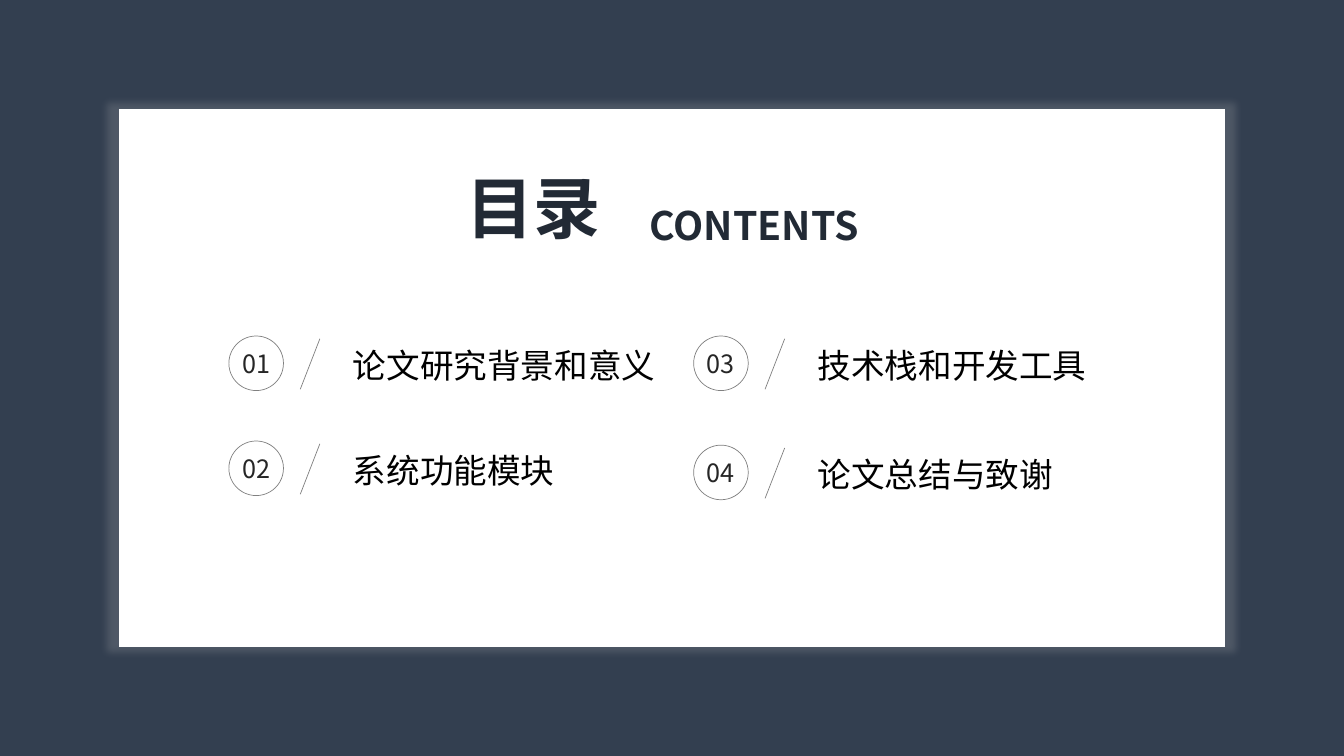
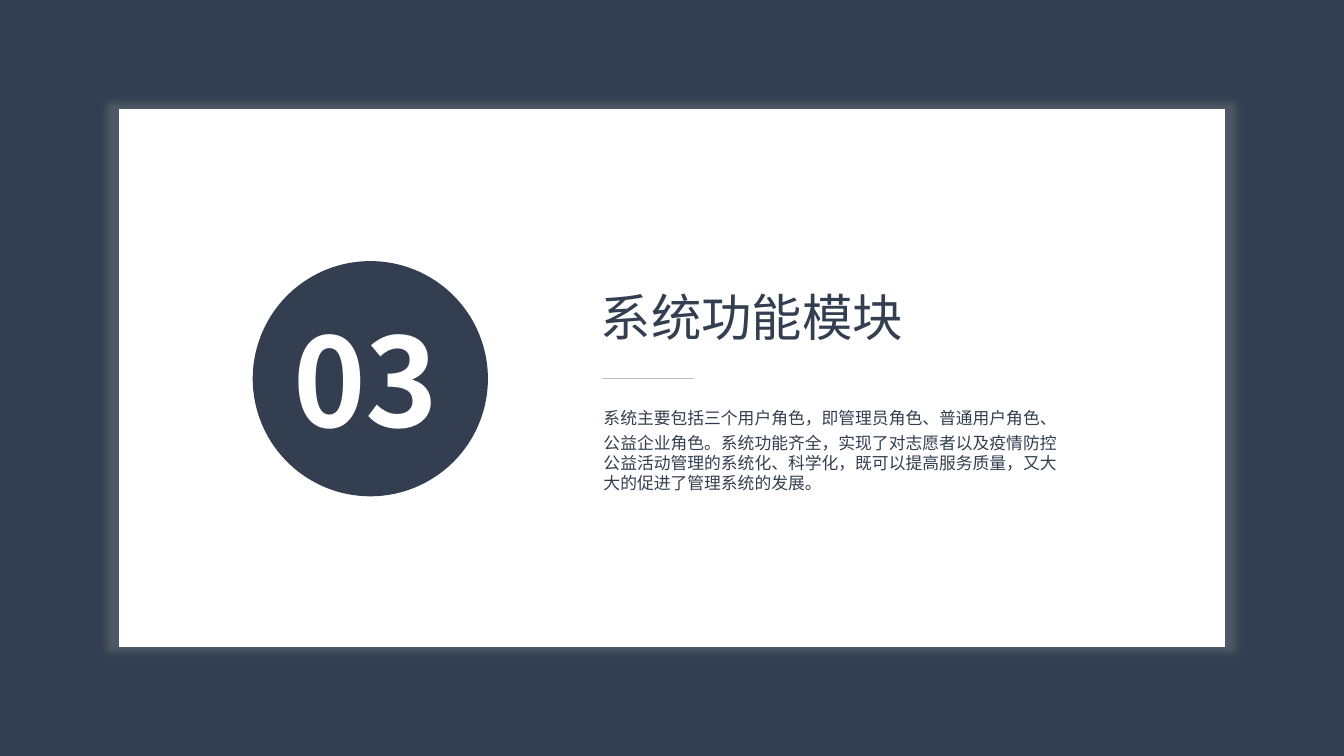
from dataclasses import dataclass
from typing import Any

from lxml.etree import SubElement
from pptx import Presentation
from pptx.dml.color import RGBColor
from pptx.enum.shapes import MSO_CONNECTOR as CONN, MSO_SHAPE as SHAPE
from pptx.enum.text import MSO_ANCHOR as ANCHOR, PP_ALIGN as ALIGN
from pptx.oxml.ns import qn
from pptx.util import Pt

FONT = "Noto Sans CJK SC"
NAVY, INK, WHITE, BLACK = "333F50", "222A35", "FFFFFF", "000000"
GREY, PALE, CHARCOAL = "808080", "BFBFBF", "262626"

HEADING = {"size": Pt(48), "bold": True}
SUBHEADING = {"size": Pt(28), "bold": True}
ENTRY = {"size": Pt(24)}
SMALL_NUMBER = {"size": Pt(18)}
BIG_NUMBER = {"size": Pt(88), "bold": True}
SECTION_TITLE = {"size": Pt(36)}
BODY = {"size": Pt(12)}


@dataclass(frozen=True)
class Box:
    """A rectangle in points."""
    x: float
    y: float
    w: float
    h: float

    def lengths(self) -> list[Pt]:
        """Return left, top, width and height as lengths."""
        return [Pt(v) for v in (self.x, self.y, self.w, self.h)]


@dataclass(frozen=True)
class Entry:
    """One line of the contents, placed by the corner of its circle."""
    number: str
    title: str
    x: float
    y: float


LEFT, RIGHT = 163.5, 495.5
ENTRIES = [
    Entry("01", "论文研究背景和意义", LEFT, 240),
    Entry("02", "系统功能模块", LEFT, 315),
    Entry("03", "技术栈和开发工具", RIGHT, 240),
    Entry("04", "论文总结与致谢", RIGHT, 318),
]
SECTION_TEXT = [
    "系统主要包括三个用户角色，即管理员角色、普通用户角色、",
    "公益企业角色。系统功能齐全，实现了对志愿者以及疫情防控公益活动管理的系统化、"
    "科学化，既可以提高服务质量，又大大的促进了管理系统的发展。",
]


def rgb(value: str) -> RGBColor:
    """Turn a hex string into a colour."""
    return RGBColor.from_string(value)


def apply(target: Any, values: dict[str, Any]) -> None:
    """Set each attribute named in values."""
    for name, value in values.items():
        setattr(target, name, value)


def write(p: Any, text: str, color: str, font: dict[str, Any]) -> None:
    """Add a run in the deck font to a paragraph."""
    r = p.add_run()
    r.text = text
    apply(r.font, {"name": FONT, **font})
    r.font.color.rgb = rgb(color)
    SubElement(r.font._element, qn("a:ea"), typeface=FONT)


def add_text(s: Any, box: Box, lines: list[str], color: str,
             font: dict[str, Any], align: ALIGN = ALIGN.LEFT, gap: float = 0) -> None:
    """Add a wrapped text box with a gap between its paragraphs."""
    tf = s.shapes.add_textbox(*box.lengths()).text_frame
    tf.word_wrap = True
    for i, line in enumerate(lines):
        p = tf.add_paragraph() if i else tf.paragraphs[0]
        apply(p, {"alignment": align, "space_before": Pt(gap if i else 0)})
        write(p, line, color, font)


def add_badge(s: Any, box: Box, number: str, color: str, font: dict[str, Any],
              fill: str | None = None, line: str | None = None, right: float = 0) -> None:
    """Add a circle that holds a number."""
    sp = s.shapes.add_shape(SHAPE.OVAL, *box.lengths())
    sp.shadow.inherit = False
    if fill:
        sp.fill.solid()
        sp.fill.fore_color.rgb = rgb(fill)
    else:
        sp.fill.background()
    if line:
        sp.line.color.rgb = rgb(line)
        sp.line.width = Pt(0.5)
    else:
        sp.line.fill.background()
    tf = sp.text_frame
    apply(tf, {"word_wrap": False, "vertical_anchor": ANCHOR.MIDDLE,
               "margin_left": 0, "margin_top": 0, "margin_bottom": 0,
               "margin_right": Pt(right)})
    tf.paragraphs[0].alignment = ALIGN.CENTER
    write(tf.paragraphs[0], number, color, font)


def add_line(s: Any, x1: float, y1: float, x2: float, y2: float, color: str) -> None:
    """Add a thin straight line."""
    sp = s.shapes.add_connector(CONN.STRAIGHT, Pt(x1), Pt(y1), Pt(x2), Pt(y2))
    sp.line.color.rgb = rgb(color)
    sp.line.width = Pt(0.5)
    SubElement(sp._element.spPr, qn("a:effectLst"))


def add_card_slide(prs: Any) -> Any:
    """Add a navy slide with a softly glowing white card."""
    s = prs.slides.add_slide(prs.slide_layouts[6])
    s.background.fill.solid()
    s.background.fill.fore_color.rgb = rgb(NAVY)
    sp = s.shapes.add_shape(SHAPE.RECTANGLE, *Box(85, 78, 790, 384).lengths())
    sp.fill.solid()
    sp.fill.fore_color.rgb = rgb(WHITE)
    sp.line.fill.background()
    sp.shadow.inherit = False
    effects = sp._element.spPr.find(qn("a:effectLst"))
    glow = SubElement(effects, qn("a:outerShdw"), blurRad=str(Pt(5)), sx="102000",
                      sy="102000", algn="ctr", rotWithShape="0")
    tint = SubElement(glow, qn("a:srgbClr"), val=PALE)
    SubElement(tint, qn("a:alpha"), val="20000")
    return s


def add_entry(s: Any, entry: Entry) -> None:
    """Draw a contents entry: circle, slash and title."""
    x, y = entry.x, entry.y
    add_badge(s, Box(x, y, 39, 39), entry.number, CHARCOAL, SMALL_NUMBER, line=GREY)
    add_line(s, x + 65, y + 2, x + 51, y + 38, GREY)
    add_text(s, Box(x + 81.5, y + 3, 233, 36), [entry.title], BLACK, ENTRY)


def build_contents(prs: Any) -> None:
    """Build the contents slide."""
    s = add_card_slide(prs)
    add_text(s, Box(326, 115, 131, 66), ["目录"], INK, HEADING, ALIGN.JUSTIFY)
    add_text(s, Box(457, 140, 183, 41), ["CONTENTS"], INK, SUBHEADING, ALIGN.JUSTIFY)
    for entry in ENTRIES:
        add_entry(s, entry)


def build_section(prs: Any) -> None:
    """Build the section opener."""
    s = add_card_slide(prs)
    add_badge(s, Box(180.5, 186.5, 168, 168), "03", WHITE, BIG_NUMBER, fill=NAVY, right=6)
    add_text(s, Box(422, 201, 296, 51), ["系统功能模块"], NAVY, SECTION_TITLE, ALIGN.JUSTIFY)
    add_line(s, 430, 270.5, 496, 270.5, PALE)
    add_text(s, Box(424, 288, 341, 94), SECTION_TEXT, NAVY, BODY, gap=3)


def main() -> None:
    """Build and save the deck."""
    prs = Presentation()
    apply(prs, {"slide_width": Pt(960), "slide_height": Pt(540)})
    build_contents(prs)
    build_section(prs)
    prs.save("out.pptx")


if __name__ == "__main__":
    main()
